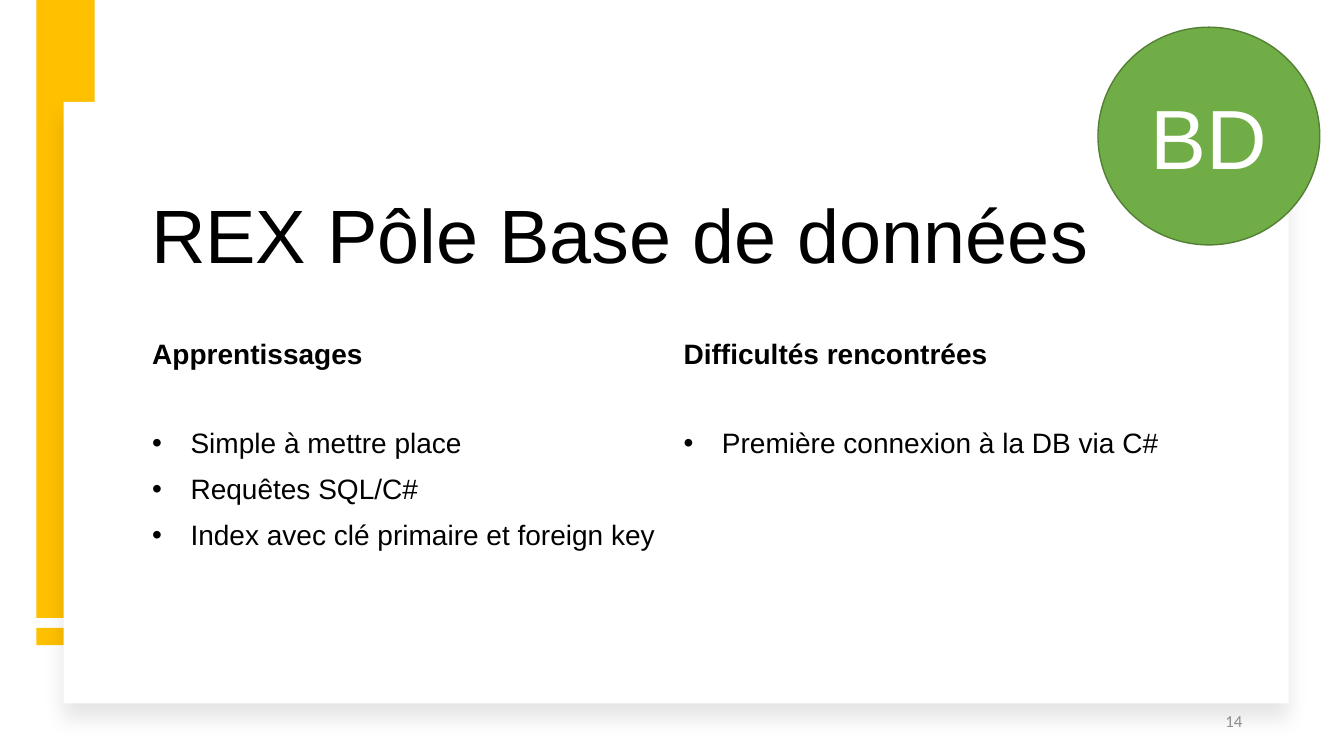
from dataclasses import dataclass

from lxml import etree
from pptx import Presentation
from pptx.dml.color import RGBColor
from pptx.enum.shapes import MSO_SHAPE as Shape
from pptx.enum.text import MSO_ANCHOR as Anchor, PP_ALIGN as Align
from pptx.oxml.ns import qn
from pptx.util import Emu, Pt

PX = 9144  # 100 px to the inch
COLORS = {
    "yellow": "FFC000",
    "white": "FFFFFF",
    "black": "000000",
    "green": "70AD47",
    "dark green": "538035",
    "grey": "8C8C8C",
}


@dataclass
class Box:
    left: int
    top: int
    width: int
    height: int

    def emu(self) -> list[Emu]:
        return [Emu(n * PX) for n in (self.left, self.top, self.width, self.height)]


@dataclass
class Column:
    heading: str
    points: list[str]
    box: Box


def rgb(name: str) -> RGBColor:
    return RGBColor.from_string(COLORS[name])


def add_filled(slide, kind: Shape, box: Box, color: str):
    shape = slide.shapes.add_shape(kind, *box.emu())
    shape.shadow.inherit = False
    shape.fill.solid()
    shape.fill.fore_color.rgb = rgb(color)
    shape.line.fill.background()
    return shape


def add_frame(slide, box: Box, anchor: Anchor):
    frame = slide.shapes.add_textbox(*box.emu()).text_frame
    frame.word_wrap = True
    frame.vertical_anchor = anchor
    return frame


def write(paragraph, text: str, size: int, color: str = "black",
          font: str = "Arial", align: Align = Align.LEFT, bold: bool = False) -> None:
    paragraph.text = text
    paragraph.alignment = align
    paragraph.font.name = font
    paragraph.font.size = Pt(size)
    paragraph.font.bold = bold
    paragraph.font.color.rgb = rgb(color)


def add_soft_shadow(shape) -> None:
    effects = shape._element.spPr.find(qn("a:effectLst"))
    shadow = etree.SubElement(effects, qn("a:outerShdw"), blurRad=str(Pt(15)),
                              dist=str(Pt(11)), dir="5400000", algn="t", rotWithShape="0")
    tint = etree.SubElement(shadow, qn("a:srgbClr"), val=COLORS["black"])
    etree.SubElement(tint, qn("a:alpha"), val="10000")


def add_bullet(paragraph, indent: int) -> None:
    properties = paragraph._p.get_or_add_pPr()
    properties.set("marL", str(indent * PX))
    properties.set("indent", str(-indent * PX))
    etree.SubElement(properties, qn("a:buFont"), typeface="Arial")
    etree.SubElement(properties, qn("a:buChar"), char="•")
    # Bullet elements come before the default run properties
    properties.append(properties.find(qn("a:defRPr")))


def add_column(slide, column: Column) -> None:
    frame = add_frame(slide, column.box, Anchor.TOP)
    frame.margin_left = frame.margin_right = frame.margin_top = frame.margin_bottom = 0
    heading = frame.paragraphs[0]
    write(heading, column.heading, 20, bold=True)
    heading.line_spacing = 0.9
    for i, text in enumerate(column.points):
        point = frame.add_paragraph()
        write(point, text, 20)
        point.line_spacing = 0.9
        point.space_before = Pt(11 if i else 42)
        add_bullet(point, 38)


def main() -> None:
    deck = Presentation()
    deck.slide_width, deck.slide_height = Emu(1333 * PX), Emu(750 * PX)
    slide = deck.slides.add_slide(deck.slide_layouts[6])

    # Yellow side bars and the white card
    for bar in (Box(36, 623, 58, 17), Box(36, 0, 58, 613)):
        add_filled(slide, Shape.RECTANGLE, bar, "yellow")
    card = add_filled(slide, Shape.RECTANGLE, Box(63, 101, 1215, 597), "white")
    add_soft_shadow(card)

    # Title
    title = add_frame(slide, Box(140, 135, 1077, 148), Anchor.BOTTOM).paragraphs[0]
    write(title, "REX Pôle Base de données", 54)
    title.line_spacing = 0.9

    # Two columns of feedback
    for column in (
        Column("Apprentissages",
               ["Simple à mettre place", "Requêtes SQL/C#",
                "Index avec clé primaire et foreign key"],
               Box(151, 338, 528, 250)),
        Column("Difficultés rencontrées",
               ["Première connexion à la DB via C#"],
               Box(678, 338, 528, 250)),
    ):
        add_column(slide, column)

    # Round badge
    badge = add_filled(slide, Shape.OVAL, Box(1089, 27, 220, 216), "green")
    badge.line.color.rgb = rgb("dark green")
    badge.line.width = Pt(1)
    badge.text_frame.vertical_anchor = Anchor.MIDDLE
    initials = badge.text_frame.paragraphs[0]
    write(initials, "BD", 60, "white", align=Align.CENTER)
    initials.space_after = Pt(6)

    # Page number
    page = add_frame(slide, Box(942, 695, 300, 40), Anchor.MIDDLE).paragraphs[0]
    write(page, "14", 12, "grey", "Calibri", Align.RIGHT)

    deck.save("out.pptx")


if __name__ == "__main__":
    main()
